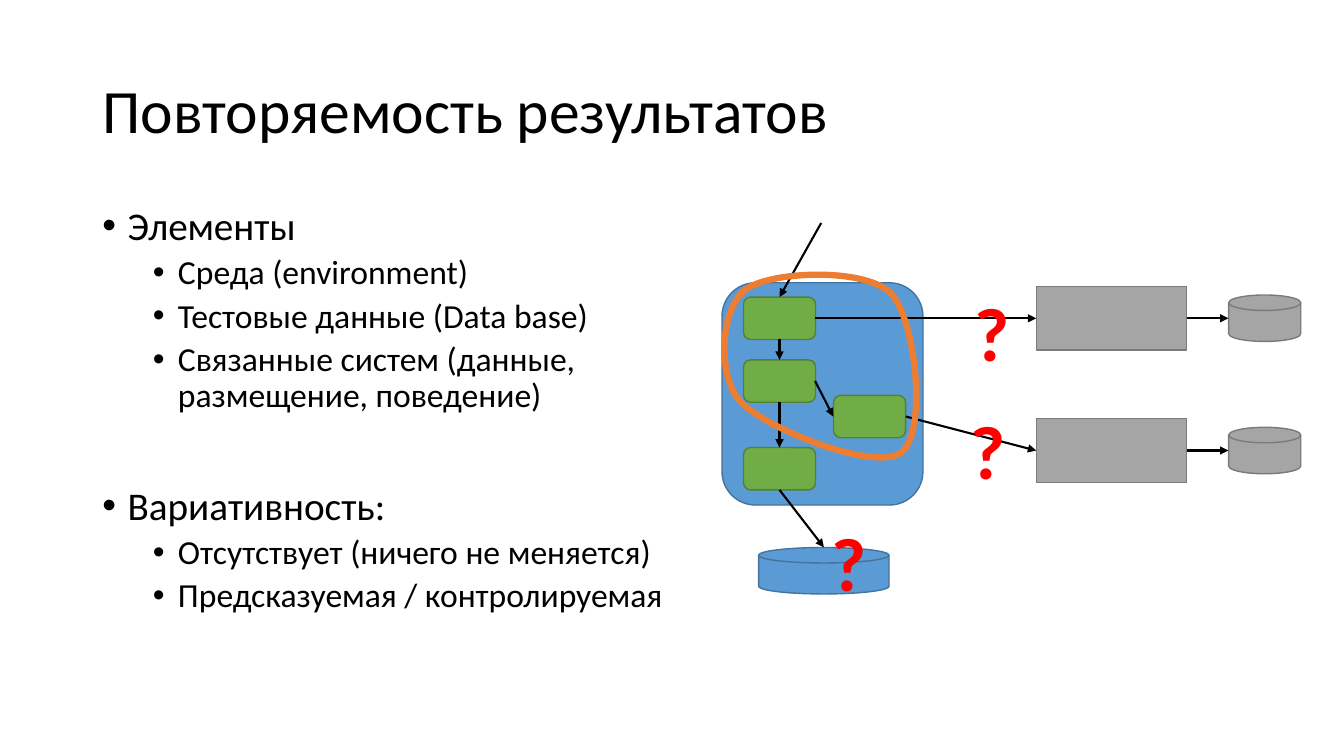
from lxml.etree import SubElement as Sub
from pptx import Presentation
from pptx.dml.color import RGBColor as RGB
from pptx.enum.shapes import MSO_CONNECTOR as LINK, MSO_SHAPE as FORM
from pptx.enum.text import MSO_ANCHOR as ANCHOR, MSO_AUTO_SIZE as FIT, PP_ALIGN as ALIGN
from pptx.oxml.ns import qn
from pptx.util import Inches, Pt

BLACK = RGB(0x00, 0x00, 0x00)
RED = RGB(0xFF, 0x00, 0x00)
ORANGE = RGB(0xED, 0x7D, 0x31)
BLUE, NAVY = RGB(0x5B, 0x9B, 0xD5), RGB(0x43, 0x73, 0x9E)
GREEN, MOSS = RGB(0x70, 0xAD, 0x47), RGB(0x53, 0x80, 0x35)
GRAY, SLATE = RGB(0xA5, 0xA5, 0xA5), RGB(0x7A, 0x7A, 0x7A)

deck = Presentation()
deck.slide_width, deck.slide_height = Inches(13.33), Inches(7.5)
col, row = deck.slide_width / 100, deck.slide_height / 100
slide = deck.slides.add_slide(deck.slide_layouts[6])
shapes = slide.shapes


def write(para, text, size=24, color=BLACK, bold=False, space=0, lead=0.9, left=None, align=ALIGN.LEFT):
    if left is not None:
        props = para._p.get_or_add_pPr()
        props.set("marL", str(Inches(left)))
        props.set("indent", str(Inches(-0.25)))
        Sub(props, qn("a:buFont"), typeface="Arial")
        Sub(props, qn("a:buChar"), char="•")
    para.alignment, para.line_spacing, para.space_before = align, lead, Pt(space)
    run = para.add_run()
    run.text = text
    font = run.font
    font.name, font.size, font.bold = "Calibri", Pt(size), bold
    font.color.rgb = color


def put(form, x, y, wide, high, fill, edge):
    item = shapes.add_shape(form, int((x - wide / 2) * col), int((y - high / 2) * row),
                            int(wide * col), int(high * row))
    item.shadow.inherit = False
    item.fill.solid()
    item.fill.fore_color.rgb = fill
    item.line.color.rgb = edge
    item.line.width = Pt(1)


title = shapes.add_textbox(int(6.88 * col), int(5.33 * row), int(86.25 * col), int(19.33 * row)).text_frame
title.word_wrap = True
title.vertical_anchor = ANCHOR.MIDDLE
write(title.paragraphs[0], "Повторяемость результатов", size=44)

body = shapes.add_textbox(int(6.88 * col), int(26.67 * row), int(45.83 * col), int(63.4 * row)).text_frame
body.word_wrap = True
para = body.paragraphs[0]
points = [
    ("Элементы", 28, 0.25, 0),
    ("Среда (environment)", 24, 0.75, 5),
    ("Тестовые данные (Data base)", 24, 0.75, 5),
    ("Связанные систем (данные, размещение, поведение)", 24, 0.75, 5),
    ("Вариативность:", 28, 0.25, 51),
    ("Отсутствует (ничего не меняется)", 24, 0.75, 5),
    ("Предсказуемая / контролируемая", 24, 0.75, 5),
]
for text, size, left, space in points:
    write(para, text, size=size, left=left, space=space)
    if text != points[-1][0]:
        para = body.add_paragraph()

put(FORM.ROUNDED_RECTANGLE, 61.2, 52.1, 14.95, 29.4, BLUE, NAVY)
for x, y in [(58, 42.1), (58, 50.4), (58, 62), (64.7, 55.1)]:
    put(FORM.ROUNDED_RECTANGLE, x, y, 5.36, 5.6, GREEN, MOSS)
for y in (42.1, 59.6):
    put(FORM.RECTANGLE, 82.7, y, 11.2, 8.4, GRAY, SLATE)
    put(FORM.FLOWCHART_MAGNETIC_DISK, 94.1, y, 5.36, 6.15, GRAY, SLATE)
put(FORM.FLOWCHART_MAGNETIC_DISK, 61.3, 75.5, 9.7, 6.15, BLUE, NAVY)

arrows = [
    (61.1, 29.5, 58, 39.3),
    (58, 44.9, 58, 47.6),
    (58, 53.2, 58, 59.2),
    (60.65, 50.4, 62, 55.1),
    (60.65, 42.1, 77.1, 42.1),
    (67.4, 55.1, 77.1, 59.6),
    (88.3, 42.1, 91.4, 42.1),
    (88.3, 59.6, 91.4, 59.6),
    (58, 64.8, 61.3, 72.4),
]
for x, y, to, down in arrows:
    arrow = shapes.add_connector(LINK.STRAIGHT, int(x * col), int(y * row), int(to * col), int(down * row))
    arrow.line.color.rgb = BLACK
    arrow.line.width = Pt(1.5)
    Sub(arrow.line._get_or_add_ln(), qn("a:tailEnd"), type="triangle")
    Sub(arrow._element.spPr, qn("a:effectLst"))

start = (55.5, 38.27)
bends = [
    ((57.3, 35.87), (64.35, 35.33), (66.3, 38.8)),
    ((68.18, 42.4), (69, 57.33), (67.05, 59.87)),
    ((65.1, 62.4), (57.08, 56.8), (55.13, 53.2)),
    ((53.25, 49.6), (53.63, 40.67), start),
]
steps = 24
dots = []
here = start
for one, two, end in bends:
    for step in range(1, steps + 1):
        t = step / steps
        x, y = [(1 - t) ** 3 * a + 3 * t * (1 - t) ** 2 * b + 3 * t ** 2 * (1 - t) * c + t ** 3 * d
                for a, b, c, d in zip(here, one, two, end)]
        dots.append((int(x * col), int(y * row)))
    here = end
pen = shapes.build_freeform(int(start[0] * col), int(start[1] * row))
pen.add_line_segments(dots, close=True)
loop = pen.convert_to_shape()
loop.shadow.inherit = False
loop.fill.background()
loop.line.color.rgb = ORANGE
loop.line.width = Pt(4.5)

for x, y in [(71.8, 37.2), (71.5, 52.8), (61.15, 67.6)]:
    mark = shapes.add_textbox(int(x * col), int(y * row), int(3.08 * col), int(10.53 * row)).text_frame
    mark.word_wrap = False
    mark.auto_size = FIT.SHAPE_TO_FIT_TEXT
    write(mark.paragraphs[0], "?", size=54, color=RED, bold=True, lead=1.0, align=ALIGN.CENTER)

deck.save("out.pptx")
